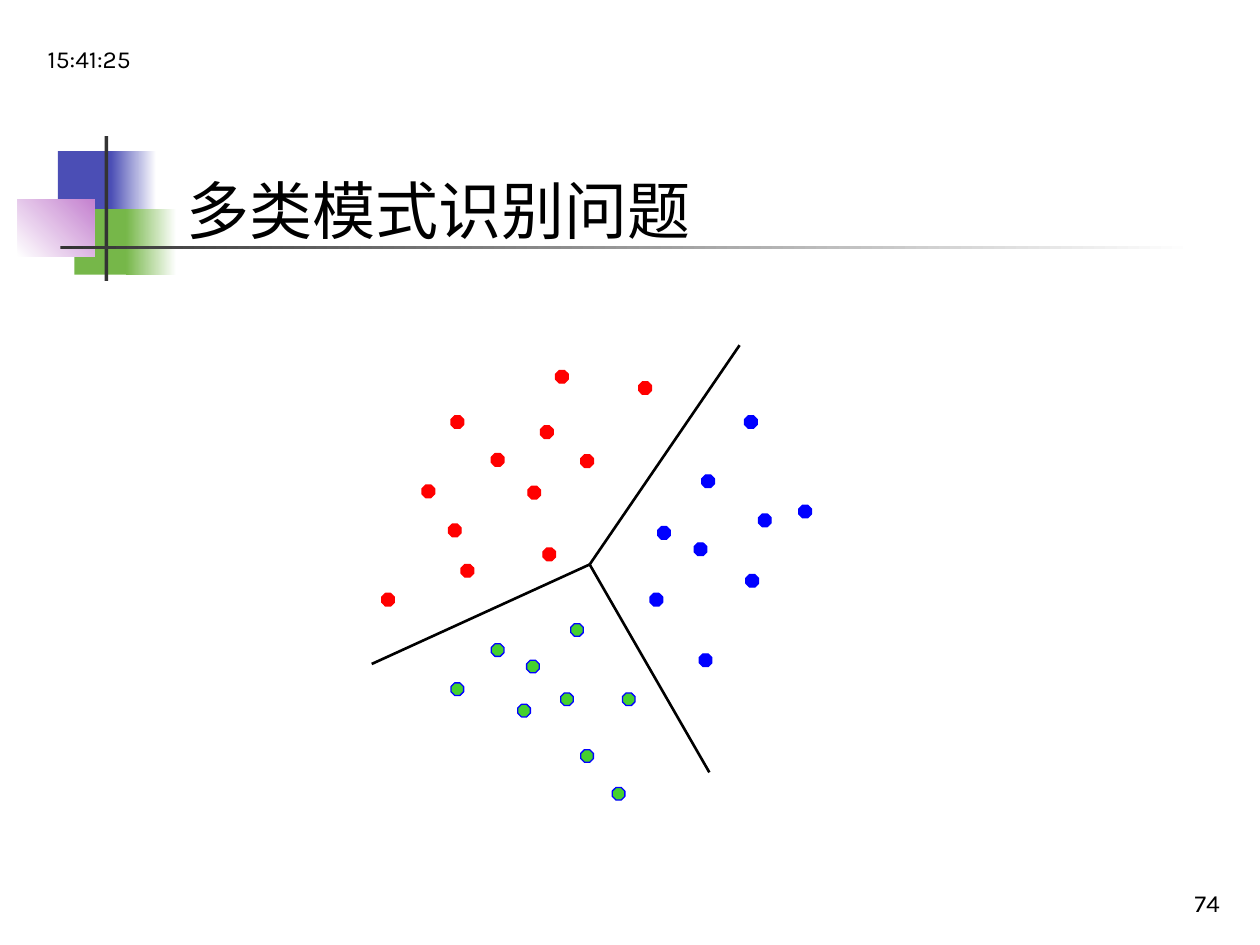
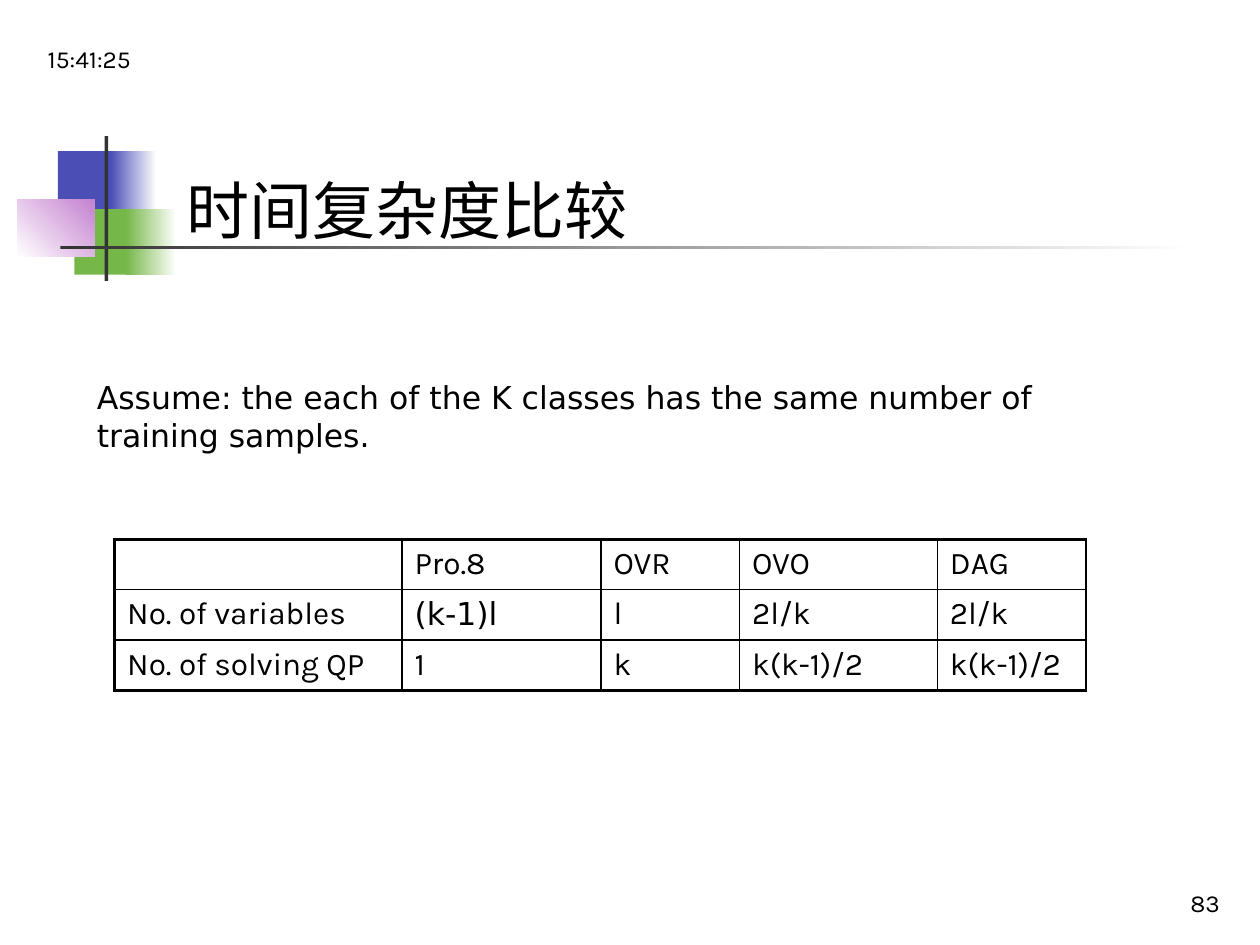
from dataclasses import dataclass

from lxml import etree
from pptx import Presentation
from pptx.dml.color import RGBColor
from pptx.enum.shapes import MSO_CONNECTOR, MSO_SHAPE
from pptx.enum.text import MSO_ANCHOR, MSO_AUTO_SIZE, PP_ALIGN
from pptx.oxml.ns import qn
from pptx.util import Pt

PX = 9144  # 100 px to the inch
RECTANGLE, OCTAGON = MSO_SHAPE.RECTANGLE, MSO_SHAPE.OCTAGON
STRAIGHT = MSO_CONNECTOR.STRAIGHT
TOP, BOTTOM = MSO_ANCHOR.TOP, MSO_ANCHOR.BOTTOM
LEFT, RIGHT = PP_ALIGN.LEFT, PP_ALIGN.RIGHT
FIXED, GROW = MSO_AUTO_SIZE.NONE, MSO_AUTO_SIZE.SHAPE_TO_FIT_TEXT


@dataclass(frozen=True)
class Theme:
    font: str = "Karla"
    note_font: str = "DejaVu Sans"
    title_size: int = 36
    body_size: int = 18
    margin_size: int = 14
    black: str = "000000"
    white: str = "FFFFFF"
    indigo: str = "4B4EB5"
    leaf: str = "76B749"
    orchid: str = "C481CF"
    charcoal: str = "333333"
    red: str = "FF0000"
    blue: str = "0000FF"
    green: str = "45D02E"


theme = Theme()


def write(frame, text, size, font=theme.font, align=LEFT):
    para = frame.paragraphs[0]
    para.alignment = align
    span = para.add_run()
    span.text = text
    span.font.name = font
    span.font.size = Pt(size)
    span.font.color.rgb = RGBColor.from_string(theme.black)


def set_box(box, place, anchor, fit):
    box.left, box.top, box.width, box.height = [n * PX for n in place]
    frame = box.text_frame
    frame.word_wrap = True
    frame.auto_size = fit
    frame.vertical_anchor = anchor
    return frame


deck = Presentation()
deck.slide_width, deck.slide_height = 1000 * PX, 750 * PX
layout = deck.slide_layouts[5]
for placeholder in list(layout.placeholders)[1:]:
    layout.shapes.element.remove(placeholder.element)

# Title, clock and page number on every slide
pages = []
for title, number in (("多类模式识别问题", "74"), ("时间复杂度比较", "83")):
    page = deck.slides.add_slide(layout)
    pages.append(page)
    frame = set_box(page.shapes.title, (138, 131, 717, 70), TOP, GROW)
    write(frame, title, theme.title_size)
    for text, place, align in (("15:41:25", (28, 13, 208, 50), LEFT),
                               (number, (770, 683, 208, 50), RIGHT)):
        box = page.shapes.add_textbox(0, 0, PX, PX)
        frame = set_box(box, place, BOTTOM, FIXED)
        write(frame, text, theme.margin_size, align=align)
classes_page, cost_page = pages

# Title ornament, kept on the shared layout: place, colours, gradient angle
ornament = [
    ((46, 120, 48, 52), [theme.indigo], 0),
    ((88, 120, 36, 52), [theme.indigo, theme.white], 0),
    ((59, 166, 46, 52), [theme.leaf], 0),
    ((100, 166, 40, 52), [theme.leaf, theme.white], 0),
    ((14, 158, 61, 46), [theme.white, theme.orchid], 45),
    ((83, 108, 3, 115), [theme.charcoal], 0),
    ((48, 195, 900, 3), [theme.charcoal, theme.white], 0),
]
for place, colours, angle in ornament:
    band = classes_page.shapes.add_shape(RECTANGLE, *[n * PX for n in place])
    band.shadow.inherit = False
    band.line.fill.background()
    if len(colours) == 1:
        band.fill.solid()
        band.fill.fore_color.rgb = RGBColor.from_string(colours[0])
    else:
        band.fill.gradient()
        band.fill.gradient_angle = angle
        for stop, colour in zip(band.fill.gradient_stops, colours):
            stop.color.rgb = RGBColor.from_string(colour)
    layout.shapes.element.append(band.element)

# Samples of the three classes: fill, outline, top-left corners
samples = [
    (theme.red, theme.red,
     [(419, 386), (358, 330), (335, 385), (366, 448), (390, 360), (303, 471), (429, 338),
      (431, 435), (441, 294), (507, 303), (356, 416), (461, 361)]),
    (theme.blue, theme.blue,
     [(591, 330), (551, 431), (555, 519), (516, 471), (557, 377), (522, 418), (592, 456),
      (602, 408), (634, 401)]),
    (theme.green, theme.blue,
     [(418, 524), (453, 495), (486, 625), (358, 542), (411, 559), (390, 511), (445, 550),
      (494, 550), (461, 595)]),
]
for fill, outline, corners in samples:
    for x, y in corners:
        dot = classes_page.shapes.add_shape(OCTAGON, x * PX, y * PX, 10 * PX, 10 * PX)
        dot.shadow.inherit = False
        dot.fill.solid()
        dot.fill.fore_color.rgb = RGBColor.from_string(fill)
        dot.line.color.rgb = RGBColor.from_string(outline)
        dot.line.width = Pt(0.75)

# Class boundaries meet in one point
for x, y in ((587, 274), (295, 527), (563, 613)):
    boundary = classes_page.shapes.add_connector(STRAIGHT, 468 * PX, 448 * PX, x * PX, y * PX)
    boundary.line.color.rgb = RGBColor.from_string(theme.black)
    boundary.line.width = Pt(1.5)
    etree.SubElement(boundary.element.spPr, qn("a:effectLst"))

# Assumption above the table
box = cost_page.shapes.add_textbox(0, 0, PX, PX)
frame = set_box(box, (67, 295, 851, 70), TOP, GROW)
write(frame, "Assume: the each of the K classes has the same number of training samples.",
      theme.body_size, theme.note_font)

# Cost table
costs = [
    ["", "Pro.8", "OVR", "OVO", "DAG"],
    ["No. of variables", "(k-1)l", "l", "2l/k", "2l/k"],
    ["No. of solving QP", "1", "k", "k(k-1)/2", "k(k-1)/2"],
]
widths = [228, 158, 110, 157, 118]
holder = cost_page.shapes.add_table(len(costs), len(widths), 91 * PX, 428 * PX,
                                    sum(widths) * PX, 120 * PX)
table = holder.table
table.first_row = table.horz_banding = False
for column, width in zip(table.columns, widths):
    column.width = width * PX
for r, row in enumerate(costs):
    for c, text in enumerate(row):
        cell = table.cell(r, c)
        cell.fill.background()
        if text:
            font = theme.note_font if text == "(k-1)l" else theme.font
            write(cell.text_frame, text, theme.body_size, font)

# Thick left, top and bottom edges; thin lines elsewhere
for index, properties in enumerate(holder.element.iter(qn("a:tcPr"))):
    r, c = divmod(index, len(widths))
    edges = [("a:lnL", c == 0), ("a:lnR", False), ("a:lnT", r == 0),
             ("a:lnB", r == len(costs) - 1)]
    for position, (tag, thick) in enumerate(edges):
        edge = etree.Element(qn(tag), w=str(Pt(2.25 if thick else 1)))
        paint = etree.SubElement(edge, qn("a:solidFill"))
        etree.SubElement(paint, qn("a:srgbClr"), val=theme.black)
        properties.insert(position, edge)

deck.save("out.pptx")
